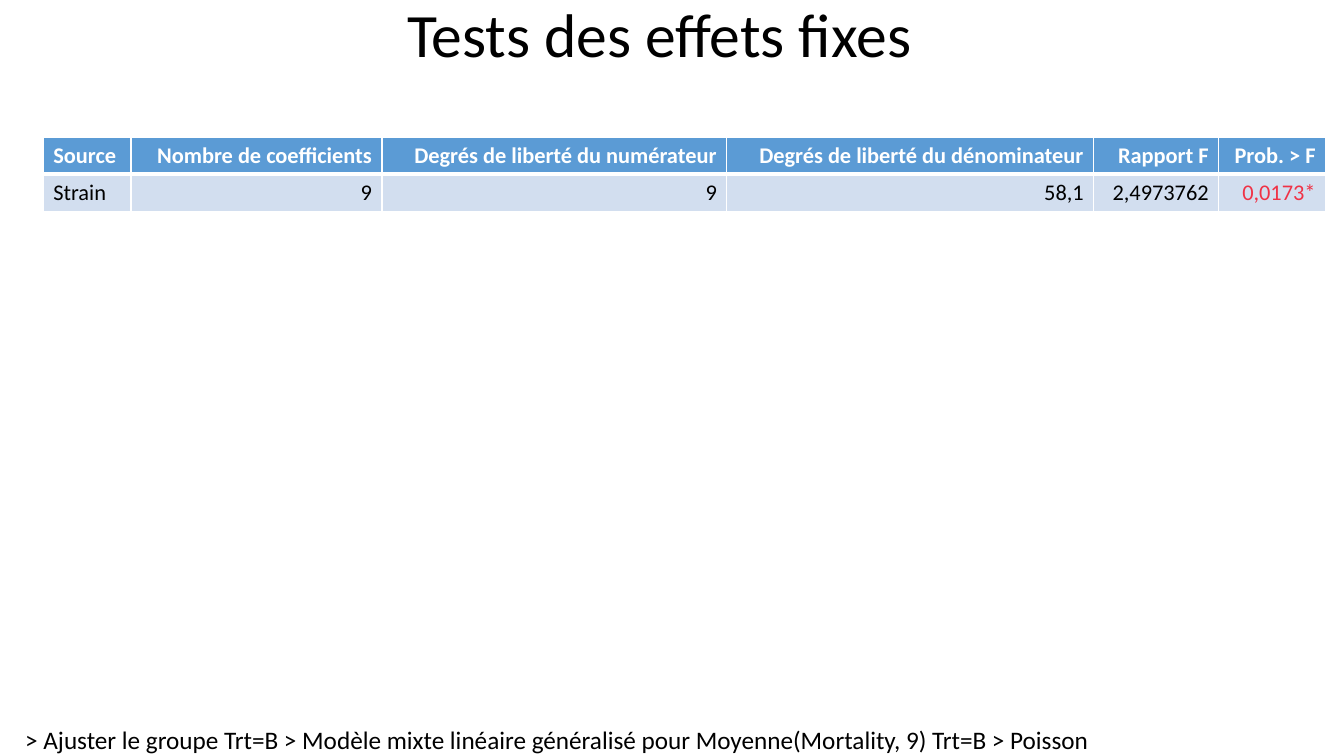
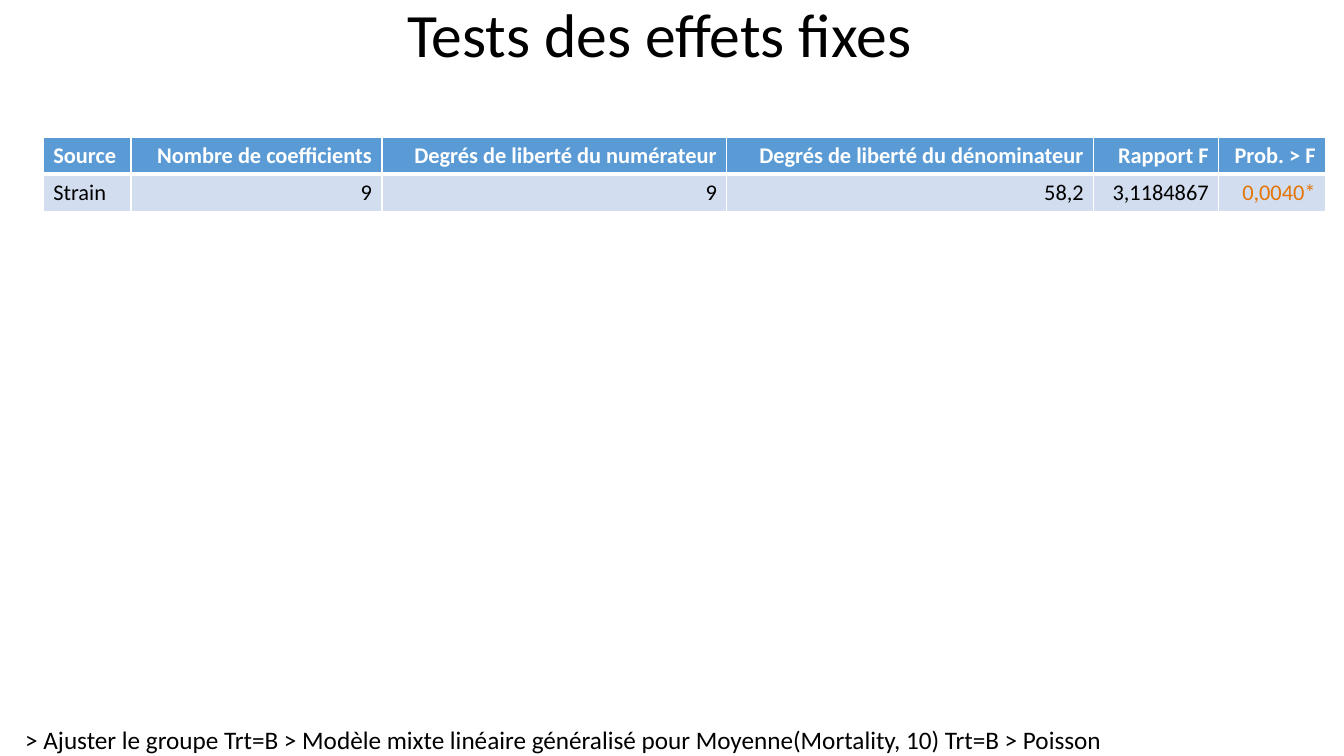
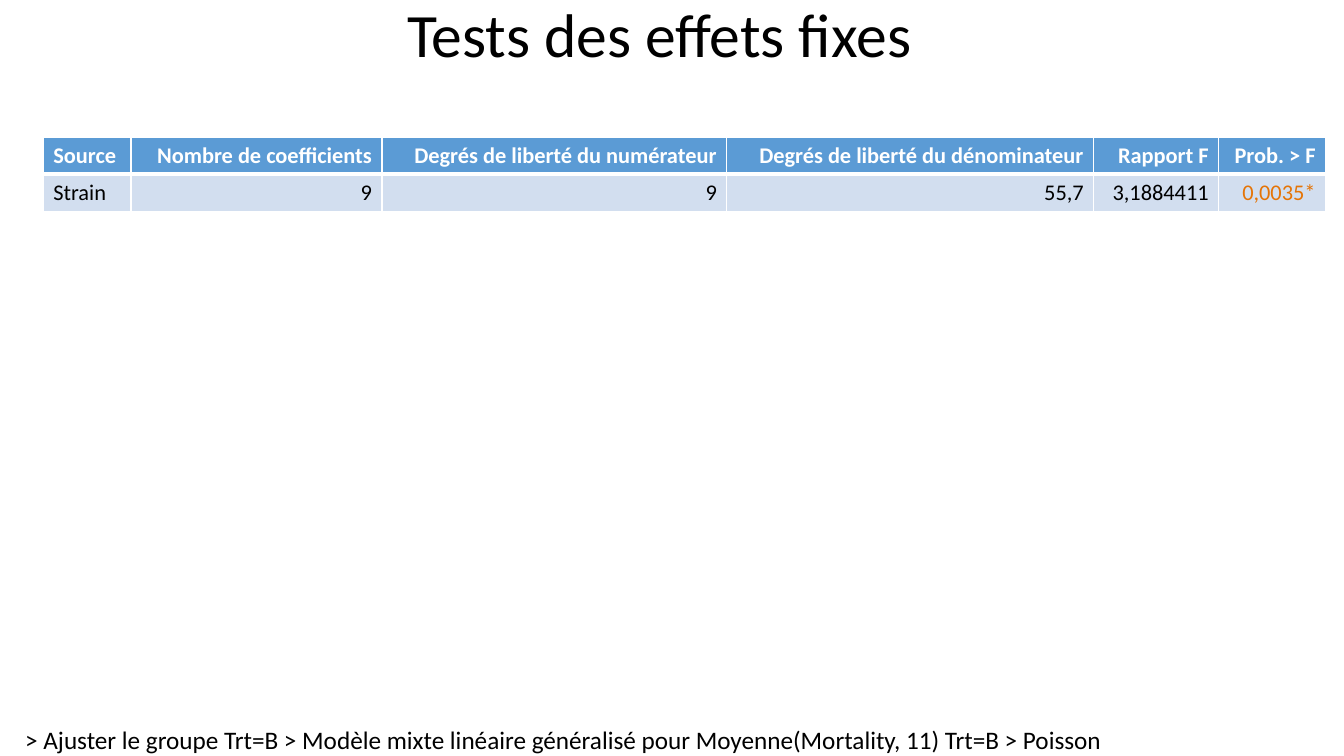
from lxml import etree
from pptx import Presentation
from pptx import util as u
from pptx.dml.color import RGBColor
from pptx.enum import text
from pptx.oxml.ns import qn

BLACK = RGBColor(0x00, 0x00, 0x00)
WHITE = RGBColor(0xFF, 0xFF, 0xFF)
BLUE = RGBColor(0x5B, 0x9B, 0xD5)
PALE = RGBColor(0xD2, 0xDE, 0xEF)
RED = RGBColor(0xF0, 0x32, 0x46)
ORANGE = RGBColor(0xE5, 0x74, 0x06)

HEADS = ["Source", "Nombre de coefficients", "Degrés de liberté du numérateur",
         "Degrés de liberté du dénominateur", "Rapport F", "Prob. > F"]
WIDTHS = [0.87, 2.49, 3.42, 3.64, 1.24, 1.06]
ROW = 0.37

# Day of mortality, denominator degrees of freedom, F ratio, p value, its colour
TESTS = [
    (9, "58,1", "2,4973762", "0,0173*", RED),
    (10, "58,2", "3,1184867", "0,0040*", ORANGE),
    (11, "55,7", "3,1884411", "0,0035*", ORANGE),
]


class Deck:
    font = "Calibri"

    def __init__(self):
        self.prs = Presentation()
        self.prs.slide_width = u.Inches(13.33)
        self.prs.slide_height = u.Inches(7.5)
        self.slide = None

    def new(self):
        self.slide = self.prs.slides.add_slide(self.prs.slide_layouts[6])

    def style(self, para, size, color=BLACK, bold=False):
        for run in para.runs:
            run.font.name = self.font
            run.font.size = u.Pt(size)
            run.font.bold = bold
            run.font.color.rgb = color

    def box(self, words, left, top, width, height, size):
        shape = self.slide.shapes.add_textbox(
            u.Inches(left), u.Inches(top), u.Inches(width), u.Inches(height))
        frame = shape.text_frame
        frame.text = words
        self.style(frame.paragraphs[0], size)
        return frame

    def title(self, words):
        frame = self.box(words, 0, 0, 13.08, 0.75, 44)
        frame.word_wrap = True
        frame.vertical_anchor = text.MSO_ANCHOR.MIDDLE
        para = frame.paragraphs[0]
        para.alignment = text.PP_ALIGN.CENTER
        para.line_spacing = 0.9

    def footer(self, words):
        frame = self.box(words, 0.25, 7.19, 10.7, 0.31, 18)
        frame.margin_left = frame.margin_right = 0
        frame.margin_top = frame.margin_bottom = 0
        frame.word_wrap = False
        frame.auto_size = text.MSO_AUTO_SIZE.SHAPE_TO_FIT_TEXT

    def edges(self, cell, top, bottom):
        props = cell._tc.get_or_add_tcPr()
        for side, width in (("L", 1), ("R", 1), ("T", top), ("B", bottom)):
            line = etree.SubElement(props, qn("a:ln" + side), w=str(u.Pt(width)))
            fill = etree.SubElement(line, qn("a:solidFill"))
            etree.SubElement(fill, qn("a:srgbClr"), val=str(WHITE))

    def cell(self, cell, words, fill, color, bold, right):
        # Borders must come before the fill; the header rule is thicker
        self.edges(cell, 1 if bold else 3, 3 if bold else 1)
        cell.fill.solid()
        cell.fill.fore_color.rgb = fill
        cell.text_frame.text = words
        para = cell.text_frame.paragraphs[0]
        para.alignment = text.PP_ALIGN.RIGHT if right else text.PP_ALIGN.LEFT
        self.style(para, 16, color, bold)

    def table(self, values, mark):
        grid = self.slide.shapes.add_table(
            2, len(HEADS), u.Inches(0.43), u.Inches(1.36),
            u.Inches(sum(WIDTHS)), u.Inches(2 * ROW)).table
        for row in grid.rows:
            row.height = u.Inches(ROW)
        for i, (head, value, width) in enumerate(zip(HEADS, values, WIDTHS)):
            grid.columns[i].width = u.Inches(width)
            color = mark if i == len(HEADS) - 1 else BLACK
            self.cell(grid.cell(0, i), head, BLUE, WHITE, True, i > 0)
            self.cell(grid.cell(1, i), value, PALE, color, False, i > 0)


def main():
    deck = Deck()
    for day, denom, ratio, prob, mark in TESTS:
        deck.new()
        deck.footer("> Ajuster le groupe Trt=B > Modèle mixte linéaire généralisé "
                    f"pour Moyenne(Mortality, {day}) Trt=B > Poisson")
        deck.title("Tests des effets fixes")
        deck.table(["Strain", "9", "9", denom, ratio, prob], mark)
    deck.prs.save("out.pptx")


if __name__ == "__main__":
    main()
